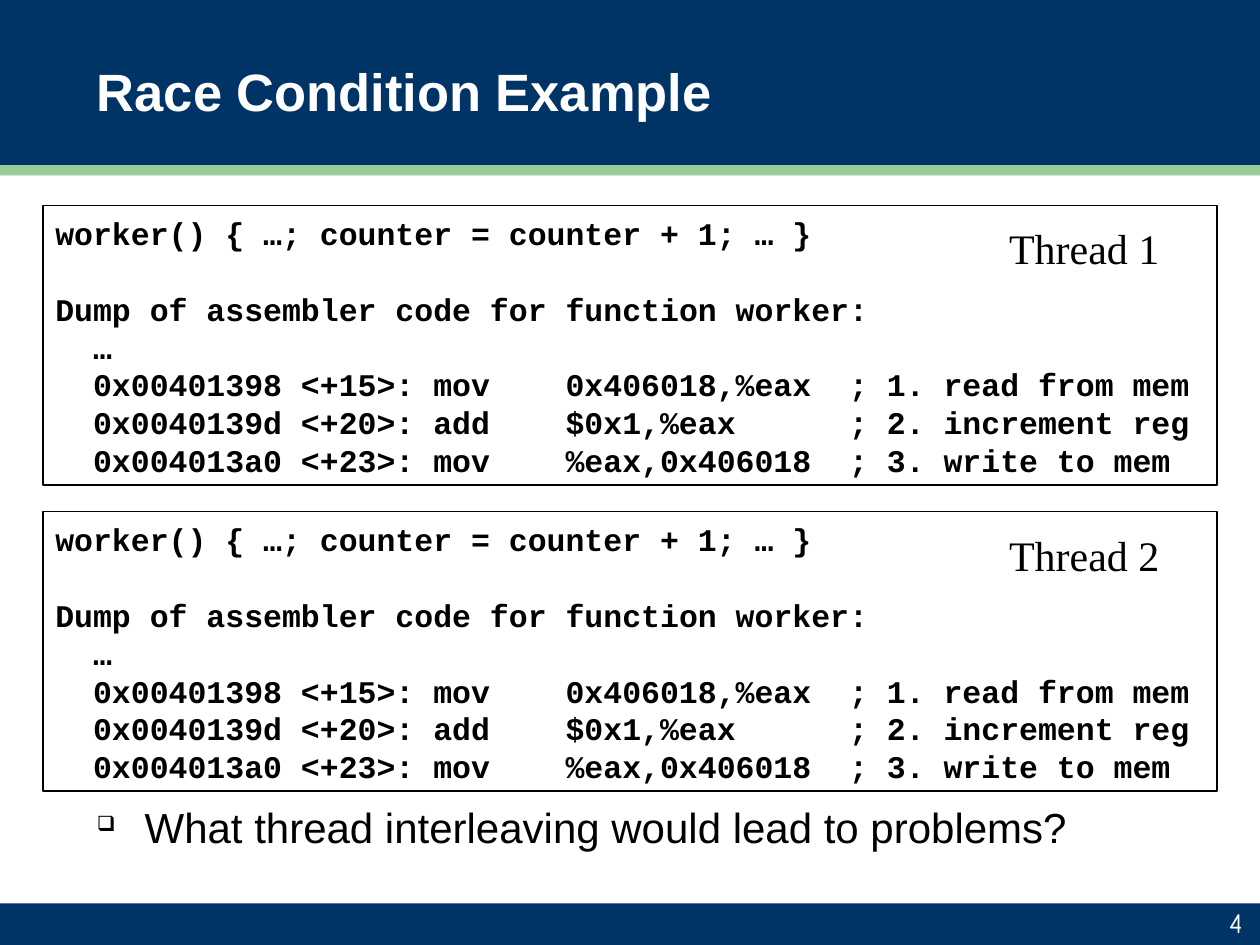
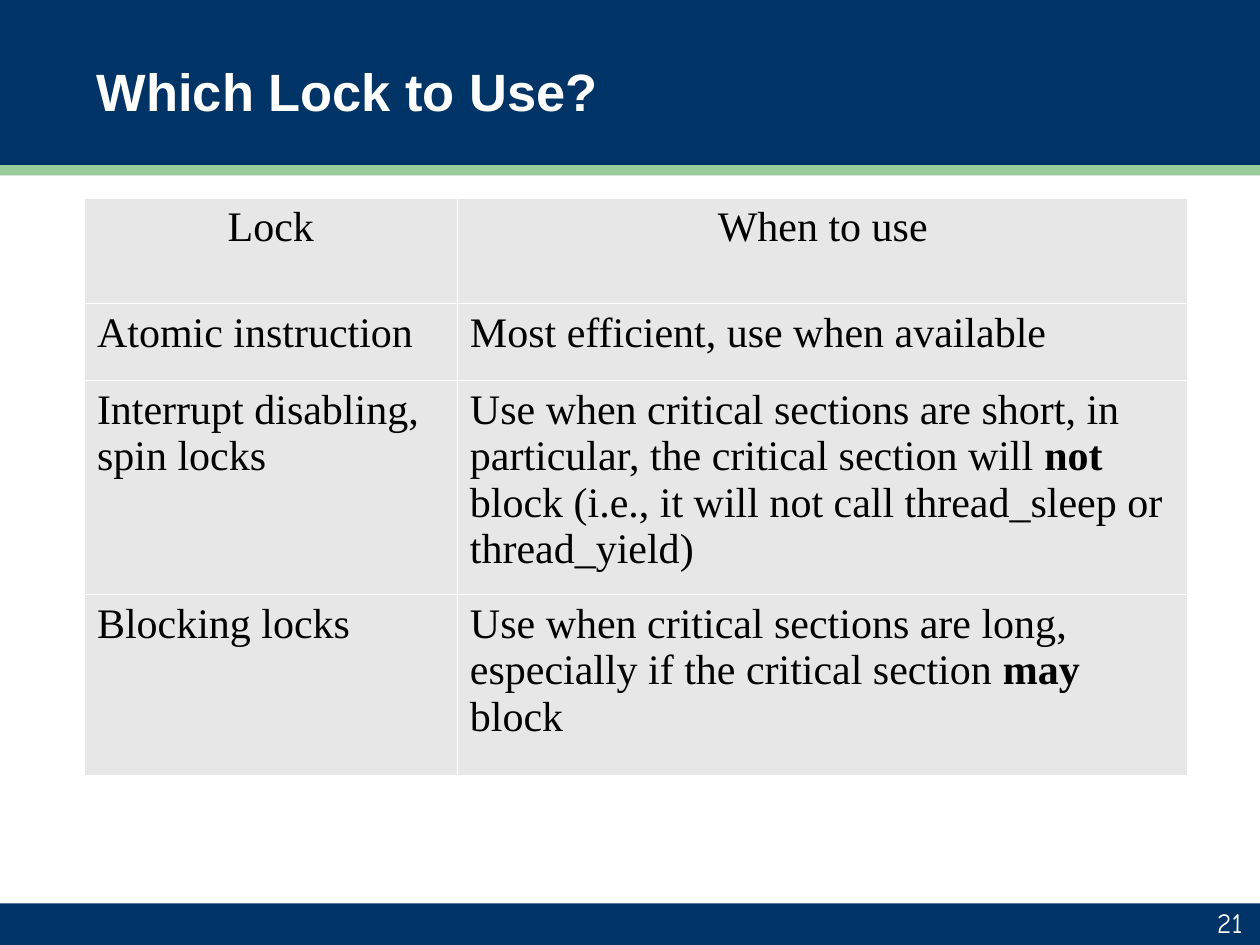
from dataclasses import dataclass
from lxml.etree import SubElement
from pptx import Presentation
from pptx.dml.color import RGBColor
from pptx.enum.shapes import MSO_SHAPE
from pptx.enum.text import MSO_ANCHOR, PP_ALIGN
from pptx.oxml.ns import qn
from pptx.util import Inches, Pt


@dataclass(frozen=True)
class Theme:
    navy: RGBColor = RGBColor(0x00, 0x33, 0x66)
    green: RGBColor = RGBColor(0x99, 0xCC, 0x99)
    gray: RGBColor = RGBColor(0xE7, 0xE7, 0xE7)
    white: RGBColor = RGBColor(0xFF, 0xFF, 0xFF)
    black: RGBColor = RGBColor(0x00, 0x00, 0x00)
    sans: str = "Arial"
    serif: str = "Times New Roman"
    mono: str = "Courier New"
    comic: str = "Comic Neue"
    title: Pt = Pt(30)
    body: Pt = Pt(24)
    code: Pt = Pt(18)
    number: Pt = Pt(16)
    pitch: Pt = Pt(21.6)


theme = Theme()


def style(para, face, size, color=theme.black, bold=False, align=PP_ALIGN.LEFT):
    font = para.font
    font.name, font.size, font.bold = face, size, bold
    font.color.rgb = color
    para.alignment = align


def add_text(slide, box, text, anchor=MSO_ANCHOR.TOP, wrap=True):
    """Add a text box and return its only paragraph."""
    frame = slide.shapes.add_textbox(*map(Inches, box)).text_frame
    frame.word_wrap = wrap
    frame.vertical_anchor = anchor
    frame.text = text
    return frame.paragraphs[0]


deck = Presentation()
deck.slide_width, deck.slide_height = Inches(10), Inches(7.5)

# Shared bands, title and slide number
bands = [(0, 1.39, theme.navy), (1.31, 0.08, theme.green), (7.17, 0.33, theme.navy)]
slides = []
for title, number in [("Race Condition Example", "4"), ("Which Lock to Use?", "21")]:
    slide = deck.slides.add_slide(deck.slide_layouts[6])
    for top, height, color in bands:
        band = slide.shapes.add_shape(
            MSO_SHAPE.RECTANGLE, 0, Inches(top), deck.slide_width, Inches(height))
        band.shadow.inherit = False
        band.fill.solid()
        band.fill.fore_color.rgb = color
        band.line.fill.background()
    para = add_text(slide, (0.67, 0.05, 8.67, 1.33), title, MSO_ANCHOR.MIDDLE)
    style(para, theme.sans, theme.title, theme.white, bold=True)
    para = add_text(slide, (7.88, 7.18, 2.08, 0.32), number, MSO_ANCHOR.BOTTOM)
    style(para, theme.comic, theme.number, theme.white, align=PP_ALIGN.RIGHT)
    slides.append(slide)
race, locks = slides

# Race condition: the same code in two threads
para = add_text(race, (0.67, 6.31, 8.67, 0.8),
                "What thread interleaving would lead to problems?")
style(para, theme.sans, theme.body)
props = para._p.get_or_add_pPr()
props.set("marL", str(Inches(0.38)))
props.set("indent", str(-Inches(0.38)))
SubElement(props, qn("a:buSzPct"), val="50000")
SubElement(props, qn("a:buChar"), char="❑")
# The bullet elements come before the default run properties
props.append(props.find(qn("a:defRPr")))

code = [
    "worker() { …; counter = counter + 1; … }",
    "Dump of assembler code for function worker:",
    "\t…",
    "\t0x00401398 <+15>:\tmov\t0x406018,%eax\t; 1. read from mem",
    "\t0x0040139d <+20>:\tadd\t$0x1,%eax\t; 2. increment reg",
    "\t0x004013a0 <+23>:\tmov\t%eax,0x406018\t; 3. write to mem",
]
stops = [0.3, 3, 4.05, 6.3]
for index in range(2):
    top = 1.63 + index * 2.43
    box = race.shapes.add_shape(
        MSO_SHAPE.RECTANGLE, Inches(0.34), Inches(top), Inches(9.32), Inches(2.22))
    box.shadow.inherit = False
    box.fill.background()
    box.line.color.rgb = theme.black
    box.line.width = Pt(1)
    frame = box.text_frame
    frame.word_wrap = True
    frame.vertical_anchor = MSO_ANCHOR.BOTTOM
    frame.text = "\n".join(code)
    for para in frame.paragraphs:
        style(para, theme.mono, theme.code, bold=True)
        para.line_spacing = theme.pitch
        if para.text.startswith("\t"):
            props = para._p.get_or_add_pPr()
            tabs = SubElement(props, qn("a:tabLst"))
            for stop in stops:
                SubElement(tabs, qn("a:tab"), pos=str(Inches(stop)), algn="l")
            props.append(props.find(qn("a:defRPr")))
    frame.paragraphs[1].space_before = theme.pitch
    para = add_text(race, (7.9, top + 0.09, 1.41, 0.5), f"Thread {index + 1}", wrap=False)
    style(para, theme.serif, theme.body, align=PP_ALIGN.CENTER)

# Lock choice: each cell is a list of runs, every second one bold
rows = [
    (0.84, ["Lock"], ["When to use"]),
    (0.61, ["Atomic instruction"], ["Most efficient, use when available"]),
    (1.57, ["Interrupt disabling, spin locks"],
     ["Use when critical sections are short, in particular, the critical section will ",
      "not", " block (i.e., it will not call thread_sleep or thread_yield)"]),
    (1.44, ["Blocking locks"],
     ["Use when critical sections are long, especially if the critical section ",
      "may", " block"]),
]
table = locks.shapes.add_table(
    len(rows), 2, Inches(0.67), Inches(1.57), Inches(8.76), Inches(4.46)).table
for column, width in zip(table.columns, (2.96, 5.8)):
    column.width = Inches(width)
for r, (height, *cells) in enumerate(rows):
    table.rows[r].height = Inches(height)
    for c, runs in enumerate(cells):
        cell = table.cell(r, c)
        para = cell.text_frame.paragraphs[0]
        style(para, theme.serif, theme.body,
              align=PP_ALIGN.LEFT if r else PP_ALIGN.CENTER)
        for n, text in enumerate(runs):
            run = para.add_run()
            run.text = text
            run.font.bold = n % 2 == 1
        props = cell._tc.get_or_add_tcPr()
        for side in ("lnL", "lnR", "lnT", "lnB"):
            line = SubElement(props, qn(f"a:{side}"), w=str(Pt(1)))
            fill = SubElement(line, qn("a:solidFill"))
            SubElement(fill, qn("a:srgbClr"), val=str(theme.white))
        cell.fill.solid()
        cell.fill.fore_color.rgb = theme.gray

deck.save("out.pptx")
